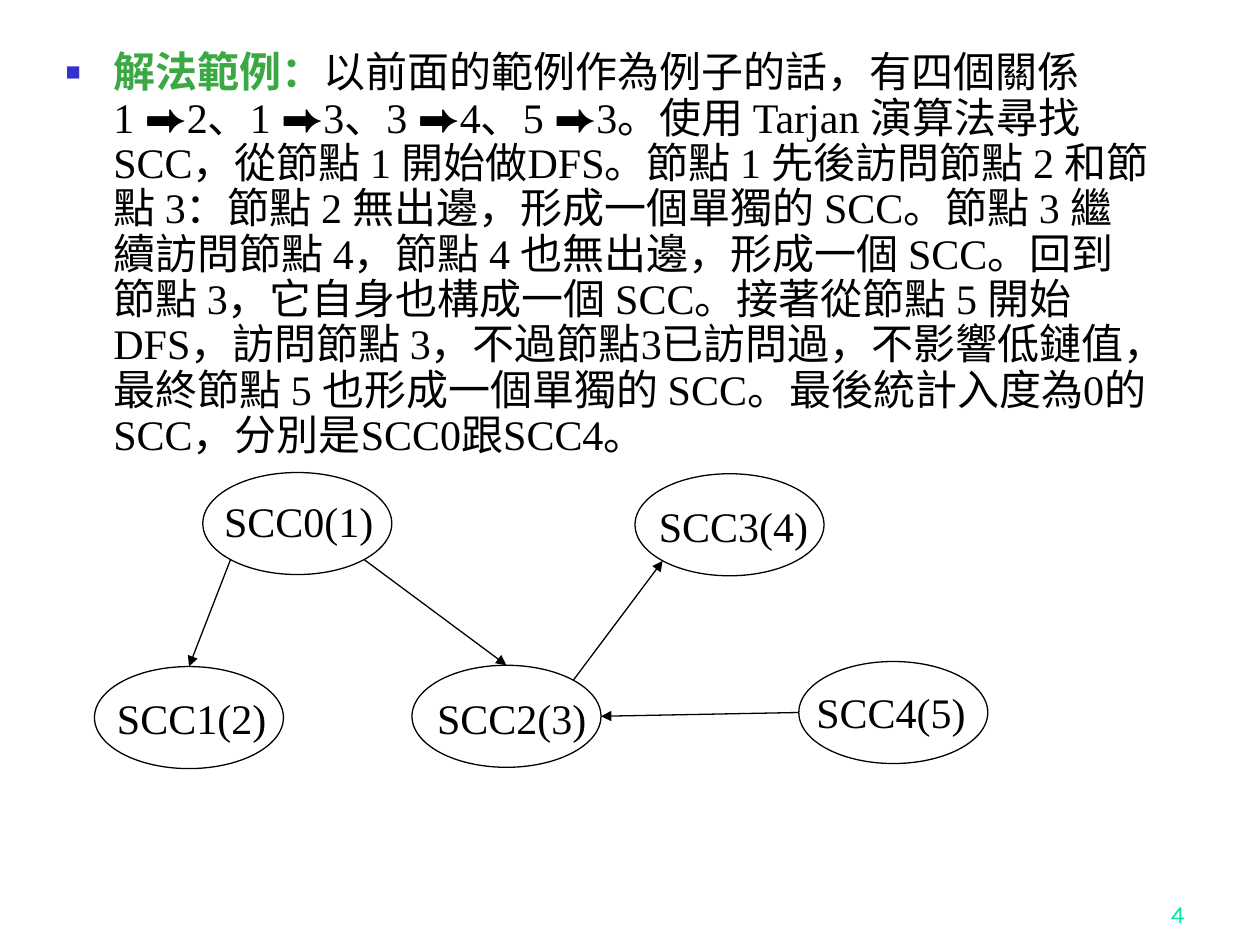
import math
from dataclasses import dataclass

from lxml import etree
from pptx import Presentation
from pptx import util as u
from pptx.dml.color import RGBColor
from pptx.enum import shapes, text
from pptx.oxml.ns import qn


@dataclass(frozen=True)
class Theme:
    ink: str = "000000"
    paper: str = "FFFFFF"
    heading: str = "3BA943"
    bullet: str = "3333CC"
    number: str = "00E4A8"
    font: str = "Times New Roman"
    number_font: str = "Karla"
    size: int = 24
    number_size: int = 14
    line: float = 0.75


@dataclass(frozen=True)
class Node:
    label: str
    column: float
    row: float
    label_column: float
    label_row: float


@dataclass(frozen=True)
class Edge:
    """A directed edge; the angles say where it leaves and meets each ellipse."""
    source: int
    source_angle: int
    target: int
    target_angle: int


THEME = Theme()
WIDTH, HEIGHT = u.Inches(10), u.Inches(7.5)
COLUMNS, ROWS = 100, 75
NODE_COLUMNS, NODE_ROWS = 15, 8.1
LABEL_COLUMNS, LABEL_ROWS = 14.2, 5

# Angles run clockwise from the right-hand side of an ellipse.
RIGHT, LOWER_RIGHT, LOWER_LEFT, LEFT, TOP, UPPER_RIGHT = 0, 45, 135, 180, 270, 315

NODES = [
    Node("SCC0(1)", 16.1, 37.5, 16.8, 38.8),
    Node("SCC1(2)", 7.5, 52.9, 8.3, 54.5),
    Node("SCC2(3)", 32.7, 52.8, 33.7, 54.5),
    Node("SCC3(4)", 50.4, 37.6, 51.3, 39.2),
    Node("SCC4(5)", 63.4, 52.5, 63.8, 54),
]
EDGES = [
    Edge(0, LOWER_LEFT, 1, TOP),
    Edge(0, LOWER_RIGHT, 2, TOP),
    Edge(2, UPPER_RIGHT, 3, LOWER_LEFT),
    Edge(4, LEFT, 2, RIGHT),
]

HEADING = "解法範例："
RELATION_INTRO = "以前面的範例作為例子的話，有四個關係"
EXPLANATION = (
    "1 ⮕2、1 ⮕3、3 ⮕4、5 ⮕3。使用 Tarjan 演算法尋找SCC，從節點 1 開始做DFS。"
    "節點 1 先後訪問節點 2 和節點 3：節點 2 無出邊，形成一個單獨的 SCC。"
    "節點 3 繼續訪問節點 4，節點 4 也無出邊，形成一個 SCC。"
    "回到節點 3，它自身也構成一個 SCC。"
    "接著從節點 5 開始 DFS，訪問節點 3，不過節點3已訪問過，不影響低鏈值，"
    "最終節點 5 也形成一個單獨的 SCC。"
    "最後統計入度為0的SCC，分別是SCC0跟SCC4。"
)


def grid(column: float, row: float) -> tuple[int, int]:
    return round(WIDTH * column / COLUMNS), round(HEIGHT * row / ROWS)


def add_run(paragraph, words: str, color: str = THEME.ink, bold: bool = False,
            name: str = THEME.font, size: int = THEME.size) -> None:
    run = paragraph.add_run()
    run.text = words
    formats = {"name": name, "size": u.Pt(size), "bold": bold}
    for attribute, value in formats.items():
        setattr(run.font, attribute, value)
    run.font.color.rgb = RGBColor.from_string(color)


def add_bullet(paragraph) -> None:
    properties = paragraph._p.get_or_add_pPr()
    properties.set("marL", str(u.Inches(0.38)))
    properties.set("indent", str(-u.Inches(0.38)))
    color = etree.SubElement(properties, qn("a:buClr"))
    etree.SubElement(color, qn("a:srgbClr"), val=THEME.bullet)
    etree.SubElement(properties, qn("a:buSzPct"), val="60000")
    etree.SubElement(properties, qn("a:buChar"), char="■")


def fill_body(body) -> None:
    body.left, body.top = grid(4.2, 3.6)
    body.width, body.height = grid(88.3, 61.5)
    frame = body.text_frame
    frame.auto_size = text.MSO_AUTO_SIZE.NONE
    paragraph = frame.paragraphs[0]
    add_bullet(paragraph)
    formats = {"line_spacing": 0.9, "space_before": u.Pt(0)}
    for attribute, value in formats.items():
        setattr(paragraph, attribute, value)
    add_run(paragraph, HEADING, THEME.heading, bold=True)
    add_run(paragraph, RELATION_INTRO)
    paragraph.add_line_break()
    add_run(paragraph, EXPLANATION)


def add_text_box(slide, column: float, row: float, columns: float, rows: float):
    box = slide.shapes.add_textbox(*grid(column, row), *grid(columns, rows))
    box.text_frame.word_wrap = True
    return box.text_frame


def add_ellipse(slide, node: Node) -> None:
    shape = slide.shapes.add_shape(
        shapes.MSO_SHAPE.OVAL, *grid(node.column, node.row),
        *grid(NODE_COLUMNS, NODE_ROWS))
    shape.shadow.inherit = False
    shape.fill.solid()
    shape.fill.fore_color.rgb = RGBColor.from_string(THEME.paper)
    shape.line.color.rgb = RGBColor.from_string(THEME.ink)
    shape.line.width = u.Pt(THEME.line)


def rim_point(node: Node, angle: int) -> tuple[int, int]:
    radians = math.radians(angle)
    return grid(node.column + NODE_COLUMNS / 2 * (1 + math.cos(radians)),
                node.row + NODE_ROWS / 2 * (1 + math.sin(radians)))


def add_arrow(slide, edge: Edge) -> None:
    connector = slide.shapes.add_connector(
        shapes.MSO_CONNECTOR.STRAIGHT,
        *rim_point(NODES[edge.source], edge.source_angle),
        *rim_point(NODES[edge.target], edge.target_angle))
    connector.line.color.rgb = RGBColor.from_string(THEME.ink)
    connector.line.width = u.Pt(THEME.line)
    etree.SubElement(connector.line._get_or_add_ln(), qn("a:tailEnd"), type="triangle")
    etree.SubElement(connector._element.spPr, qn("a:effectLst"))


def add_label(slide, node: Node) -> None:
    frame = add_text_box(slide, node.label_column, node.label_row,
                         LABEL_COLUMNS, LABEL_ROWS)
    frame.auto_size = text.MSO_AUTO_SIZE.SHAPE_TO_FIT_TEXT
    add_run(frame.paragraphs[0], node.label)


def add_slide_number(slide, number: str) -> None:
    frame = add_text_box(slide, 74.2, 69.2, 20.8, 5)
    frame.vertical_anchor = text.MSO_ANCHOR.BOTTOM
    paragraph = frame.paragraphs[0]
    paragraph.alignment = text.PP_ALIGN.RIGHT
    add_run(paragraph, number, THEME.number,
            name=THEME.number_font, size=THEME.number_size)


def main() -> None:
    presentation = Presentation()
    presentation.slide_width, presentation.slide_height = WIDTH, HEIGHT
    slide = presentation.slides.add_slide(
        presentation.slide_layouts.get_by_name("Title and Content"))
    title = slide.shapes.title._element
    title.getparent().remove(title)

    add_slide_number(slide, "4")
    fill_body(slide.placeholders[1])
    for node in NODES:
        add_ellipse(slide, node)
    for edge in EDGES:
        add_arrow(slide, edge)
    for node in NODES:
        add_label(slide, node)
    presentation.save("out.pptx")


if __name__ == "__main__":
    main()
